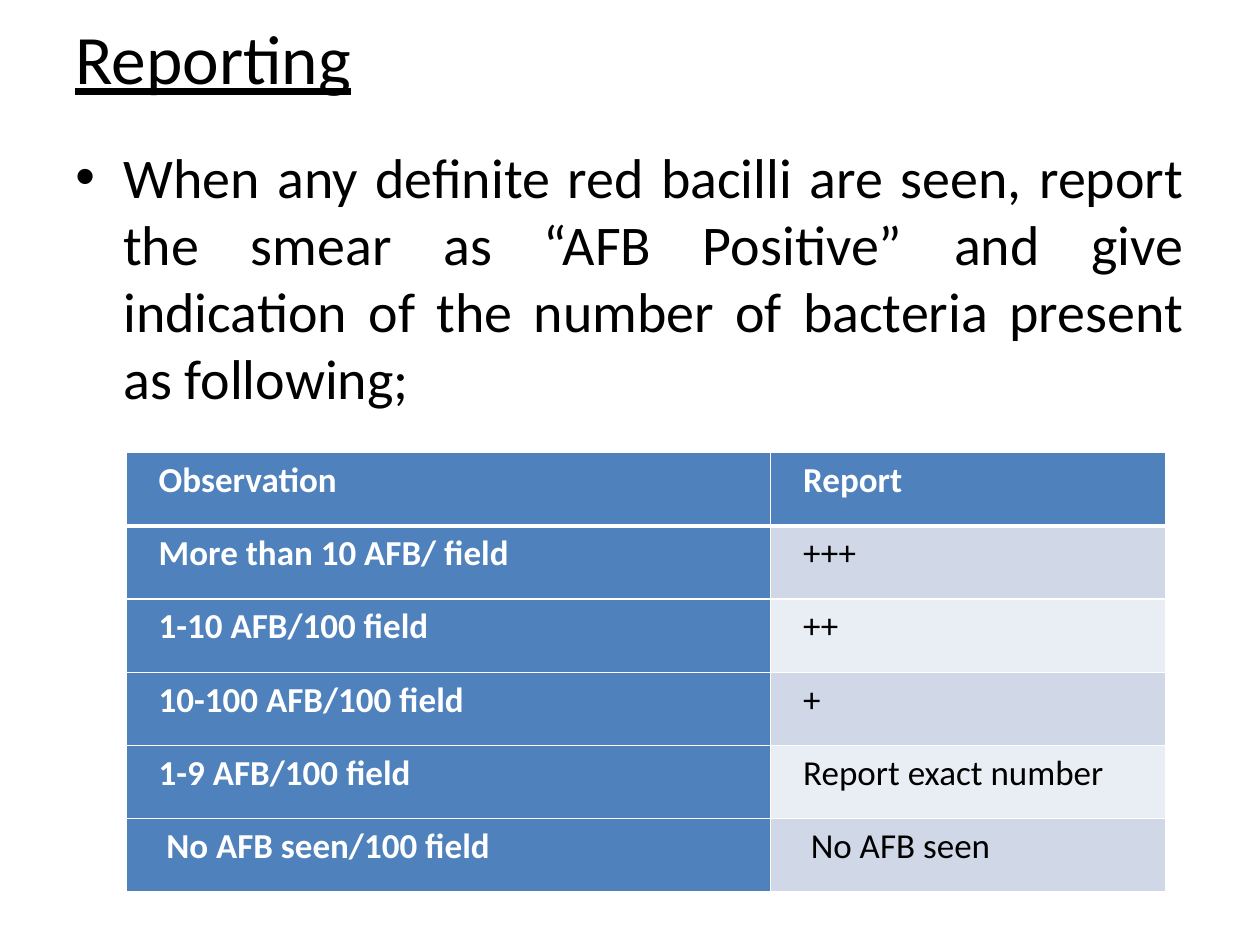
from dataclasses import dataclass

from lxml.etree import SubElement
from pptx import Presentation
from pptx.dml.color import RGBColor as Color
from pptx.enum.text import MSO_ANCHOR as Anchor, PP_ALIGN as Align
from pptx.oxml.ns import qn
from pptx.util import Inches, Pt

WIDTH, HEIGHT = Inches(10), Inches(7.5)

ROWS = [
    ("Observation", "Report"),
    ("More than 10 AFB/ field", "+++"),
    ("1-10 AFB/100 field", "++"),
    ("10-100 AFB/100 field", "+"),
    ("1-9 AFB/100 field", "Report exact number"),
    ("No AFB seen/100 field", "No AFB seen"),
]


@dataclass(frozen=True)
class Theme:
    """Hold the colours and type sizes of the slide."""

    font: str = "Calibri"
    ink: str = "000000"
    paper: str = "FFFFFF"
    accent: str = "4F81BD"
    bands: tuple = ("E9EDF4", "D0D8E8")
    title_size: float = 39.6
    body_size: float = 32
    table_size: float = 20
    rule: float = 1
    header_rule: float = 3


THEME = Theme()


def place(left, top, width, height):
    """Turn shares of the slide into lengths."""
    return (int(left * WIDTH), int(top * HEIGHT),
            int(width * WIDTH), int(height * HEIGHT))


def set_all(target, values):
    """Set each attribute named in a dict."""
    for name, value in values.items():
        setattr(target, name, value)


def write(para, text, color, **formats):
    """Add a formatted span to a paragraph."""
    span = para.add_run()
    span.text = text
    set_all(span.font, {"name": THEME.font, **formats})
    span.font.color.rgb = Color.from_string(color)


def set_indent(para, left, first=0):
    """Set the left margin and first-line indent in inches."""
    props = para._p.get_or_add_pPr()
    props.set("marL", str(Inches(left)))
    props.set("indent", str(Inches(first)))
    return props


def add_text(slide, area, anchor):
    """Add a wrapping text box and return its paragraph."""
    frame = slide.shapes.add_textbox(*place(*area)).text_frame
    set_all(frame, {"word_wrap": True, "vertical_anchor": anchor})
    return frame.paragraphs[0]


def add_title(slide, text):
    """Add the underlined title."""
    para = add_text(slide, (0.05, 0.01, 0.9, 0.1), Anchor.MIDDLE)
    write(para, text, THEME.ink, size=Pt(THEME.title_size), underline=True)


def add_bullet(slide, text):
    """Add the justified bullet paragraph."""
    para = add_text(slide, (0.05, 0.144, 0.9, 0.32), Anchor.TOP)
    props = set_indent(para, 0.38, -0.38)
    SubElement(props, qn("a:buFont"), typeface="Arial")
    SubElement(props, qn("a:buChar"), char="•")
    para.alignment = Align.JUSTIFY
    write(para, text, THEME.ink, size=Pt(THEME.body_size))


def add_borders(cell, widths):
    """Draw the cell's edges with widths in points."""
    props = cell._tc.get_or_add_tcPr()
    for edge, width in widths.items():
        line = SubElement(props, qn(f"a:{edge}"), w=str(Pt(width)))
        fill = SubElement(line, qn("a:solidFill"))
        SubElement(fill, qn("a:srgbClr"), val=THEME.paper)


def fill_cell(cell, text, row, column):
    """Format one cell according to its row and column."""
    strong = row == 0 or column == 0
    top = THEME.header_rule if row == 1 else THEME.rule
    bottom = THEME.header_rule if row == 0 else THEME.rule
    add_borders(cell, {"lnL": THEME.rule, "lnR": THEME.rule,
                       "lnT": top, "lnB": bottom})
    cell.fill.solid()
    cell.fill.fore_color.rgb = Color.from_string(
        THEME.accent if strong else THEME.bands[row % 2])
    set_all(cell, {"margin_left": Inches(0.07), "margin_right": Inches(0.07),
                   "margin_top": 0, "margin_bottom": 0})
    para = cell.text_frame.paragraphs[0]
    set_indent(para, 0.25 if row == len(ROWS) - 1 else 0.19)
    set_all(para, {"alignment": Align.JUSTIFY, "line_spacing": 1.15})
    write(para, text, THEME.paper if strong else THEME.ink,
          size=Pt(THEME.table_size), bold=strong)


def add_report_table(slide):
    """Add the table of observations and reports."""
    area = place(0.1, 0.479, 0.825, 0.465)
    table = slide.shapes.add_table(len(ROWS), len(ROWS[0]), *area).table
    table.horz_banding = False
    for column, share in zip(table.columns, (0.62, 0.38)):
        column.width = int(area[2] * share)
    for row, texts in enumerate(ROWS):
        for column, text in enumerate(texts):
            fill_cell(table.cell(row, column), text, row, column)


def main():
    """Build and save the deck."""
    deck = Presentation()
    set_all(deck, {"slide_width": WIDTH, "slide_height": HEIGHT})
    slide = deck.slides.add_slide(deck.slide_layouts[6])
    add_title(slide, "Reporting")
    add_bullet(slide, "When any definite red bacilli are seen, report the smear "
               "as “AFB Positive” and give indication of the number of bacteria "
               "present as following;")
    add_report_table(slide)
    deck.save("out.pptx")


if __name__ == "__main__":
    main()
